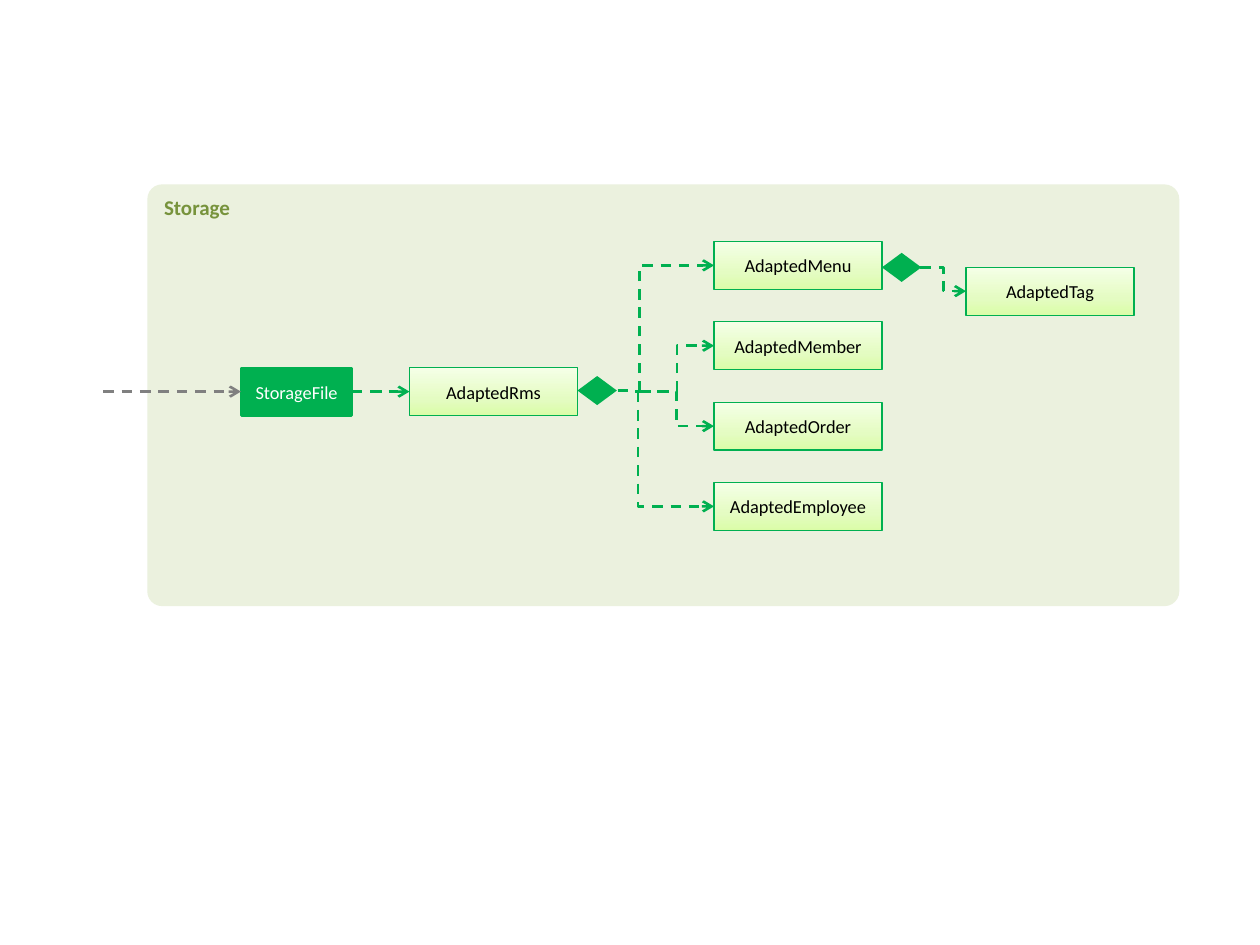
from copy import deepcopy
from dataclasses import dataclass

from lxml import etree
from pptx import Presentation
from pptx import util as u
from pptx.dml.color import RGBColor
from pptx.enum import dml, shapes, text
from pptx.oxml.ns import qn

GREEN, GREY = "00B050", "808080"
GRADIENT = ((0, "DAFDA7"), (0.35, "E4FCC2"), (1, "F5FFE7"))
BOX_WIDTH, BOX_HEIGHT = 96, 27.4
ENTITY_LEFT, ENTITY_TOP, ENTITY_STEP = 408, 138, 45.9


@dataclass
class Box:
    label: str
    left: float
    top: float
    width: float = BOX_WIDTH
    height: float = BOX_HEIGHT
    kind: shapes.MSO_SHAPE = shapes.MSO_SHAPE.RECTANGLE
    fill: str = ""  # empty means the pale green gradient
    line: str = GREEN
    line_width: float = 0.75
    color: str = "000000"
    size: float = 10.5
    bold: bool = False
    anchor: text.MSO_ANCHOR = text.MSO_ANCHOR.MIDDLE
    align: text.PP_ALIGN = text.PP_ALIGN.CENTER


@dataclass
class Link:
    start: tuple[float, float]
    end: tuple[float, float]
    color: str = GREEN
    arrow: bool = True
    corner: bool = False  # one bend, leaving vertically


def rgb(value: str) -> RGBColor:
    return RGBColor.from_string(value)


def apply(target, values: dict) -> None:
    for name, value in values.items():
        setattr(target, name, value)


def fill_gradient(shape) -> None:
    shape.fill.gradient()
    shape.fill.gradient_angle = 90
    stop_list = shape._element.spPr.find(qn("a:gradFill")).find(qn("a:gsLst"))
    stop_list.append(deepcopy(stop_list[0]))
    for stop, (position, color) in zip(shape.fill.gradient_stops, GRADIENT):
        stop.position = position
        stop.color.rgb = rgb(color)


def draw_box(slide, box: Box):
    shape = slide.shapes.add_shape(
        box.kind, *map(u.Pt, (box.left, box.top, box.width, box.height)))
    shape.shadow.inherit = False
    if box.fill:
        shape.fill.solid()
        shape.fill.fore_color.rgb = rgb(box.fill)
    else:
        fill_gradient(shape)
    if box.line:
        shape.line.color.rgb = rgb(box.line)
        shape.line.width = u.Pt(box.line_width)
    else:
        shape.line.fill.background()
    if box.label:
        frame = shape.text_frame
        apply(frame, {"word_wrap": box.align != text.PP_ALIGN.CENTER,
                      "vertical_anchor": box.anchor})
        paragraph = frame.paragraphs[0]
        paragraph.alignment = box.align
        run = paragraph.add_run()
        run.text = box.label
        apply(run.font, {"name": "Calibri", "size": u.Pt(box.size), "bold": box.bold})
        run.font.color.rgb = rgb(box.color)
    return shape


def draw_link(slide, link: Link) -> None:
    (x1, y1), (x2, y2) = link.start, link.end
    rotation = 0
    if link.corner:
        # A one-bend connector is a turned one: width and height swap about the centre
        center_x, center_y = (x1 + x2) / 2, (y1 + y2) / 2
        half_width, half_height = abs(y2 - y1) / 2, (x2 - x1) / 2
        rotation = 270 if y2 > y1 else 90
        side = -1 if y2 > y1 else 1
        x1, x2 = center_x + half_width, center_x - half_width
        y1, y2 = center_y + side * half_height, center_y - side * half_height
    connector = slide.shapes.add_connector(
        shapes.MSO_CONNECTOR.ELBOW, *map(u.Pt, (x1, y1, x2, y2)))
    apply(connector.line, {"width": u.Pt(1.5), "dash_style": dml.MSO_LINE.DASH})
    connector.line.color.rgb = rgb(link.color)
    properties = connector._element.spPr
    if link.corner:
        properties.find(qn("a:prstGeom")).set("prst", "bentConnector2")
        properties.find(qn("a:xfrm")).set("rot", str(rotation * 60000))
    if link.arrow:
        etree.SubElement(properties.find(qn("a:ln")), qn("a:tailEnd"), type="arrow")
    etree.SubElement(properties, qn("a:effectLst"))


presentation = Presentation()
apply(presentation, {"slide_width": u.Pt(720), "slide_height": u.Pt(540)})
slide = presentation.slides.add_slide(presentation.slide_layouts[6])

# Storage panel
panel = draw_box(slide, Box(
    "Storage", 84.2, 105.4, 589.7, 241, shapes.MSO_SHAPE.ROUNDED_RECTANGLE,
    fill="EBF1DE", line="", color="77933C", size=12, bold=True,
    anchor=text.MSO_ANCHOR.TOP, align=text.PP_ALIGN.LEFT))
panel.adjustments[0] = 0.035

# Class boxes
draw_box(slide, Box("StorageFile", 138, 210.2, 63, fill=GREEN, line_width=1.5,
                    color="FFFFFF"))
draw_box(slide, Box("AdaptedRms", 234, 210.2))
draw_box(slide, Box("AdaptedTag", 552, 152.7))
entities = ("AdaptedMenu", "AdaptedMember", "AdaptedOrder", "AdaptedEmployee")
entity_tops = [ENTITY_TOP + row * ENTITY_STEP for row in range(len(entities))]
for label, top in zip(entities, entity_tops):
    draw_box(slide, Box(label, ENTITY_LEFT, top))

# Dependencies: the outer entities get one bend, the inner ones two
axis = 223.8
links = [
    Link((59, axis), (137.7, axis), GREY),
    Link((201, axis), (234, axis)),
    Link((353, 223.2), (365.4, axis), arrow=False),
    Link((526, 152.8), (552, 166.4)),
]
for row, (start_x, top) in enumerate(zip((365.4, 365.8, 365, 364.6), entity_tops)):
    links.append(Link((start_x, axis), (ENTITY_LEFT, top + BOX_HEIGHT / 2),
                      corner=row in (0, len(entities) - 1)))
for link in links:
    draw_link(slide, link)

# Composition diamonds
for left, top in ((330, 214.9), (504, 144.5)):
    draw_box(slide, Box("", left, top, 22.5, 16.6,
                        shapes.MSO_SHAPE.FLOWCHART_DECISION, fill=GREEN, line=""))

presentation.save("out.pptx")
